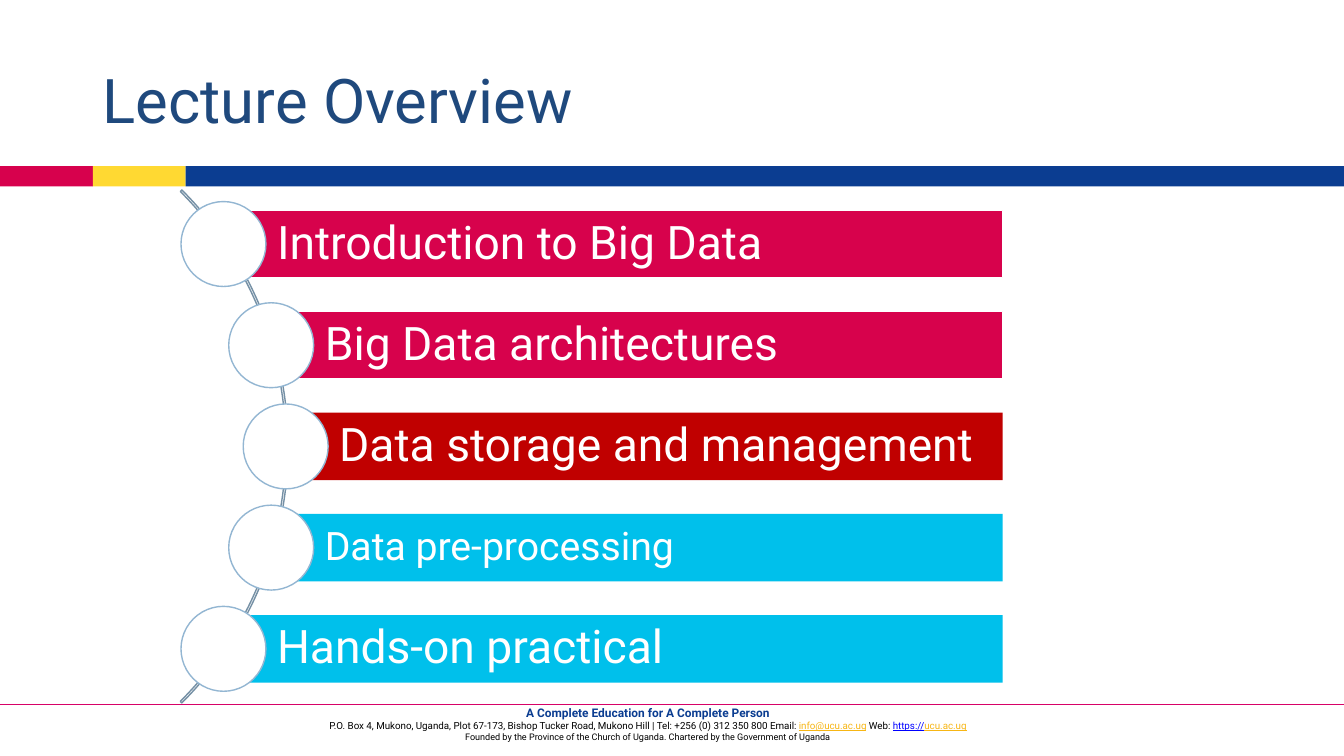
import math

from pptx import Presentation
from pptx import util as u
from pptx.dml.color import RGBColor
from pptx.enum import shapes, text
from pptx.oxml import parse_xml
from pptx.oxml.ns import nsdecls

NAVY = RGBColor(0x0B, 0x3D, 0x91)
CRIMSON = RGBColor(0xD7, 0x01, 0x4D)
YELLOW = RGBColor(0xFF, 0xD9, 0x32)
RULE_PINK = RGBColor(0xD7, 0x01, 0x67)
TITLE_BLUE = RGBColor(0x1F, 0x49, 0x7D)
TOPIC_CRIMSON = RGBColor(0xD7, 0x02, 0x4C)
TOPIC_RED = RGBColor(0xC0, 0x00, 0x00)
TOPIC_CYAN = RGBColor(0x00, 0xC0, 0xEB)
ARC_GREY = RGBColor(0x75, 0x90, 0xA5)
CIRCLE_BLUE = RGBColor(0x93, 0xB6, 0xD2)
LINK_GOLD = RGBColor(0xF7, 0xB6, 0x15)
LINK_BLUE = RGBColor(0x00, 0x00, 0xFF)
BLACK = RGBColor(0, 0, 0)
WHITE = RGBColor(0xFF, 0xFF, 0xFF)

SLIDE_WIDTH, SLIDE_HEIGHT = 33.87, 19.05
STRIPE_TOP, STRIPE_HEIGHT, STRIPE_UNIT = 4.19, 0.51, 2.34

ARC_X, ARC_Y, ARC_RADIUS = -1.88, 11.25, 9.14
CENTRE_RADIUS = 9.08
ROW_PITCH = 2.55
CIRCLE_SIZE = 2.14
BAR_RIGHT, BAR_HEIGHT = 25.27, 1.7

TOPICS = [
    ("Introduction to Big Data", TOPIC_CRIMSON, 33),
    ("Big Data architectures", TOPIC_CRIMSON, 33),
    ("Data storage and management", TOPIC_RED, 33),
    ("Data pre-processing", TOPIC_CYAN, 28),
    ("Hands-on practical", TOPIC_CYAN, 33),
]

# Each footer line is a list of (text, size, colour, bold, underline)
FOOTER = [
    [("A Complete Education for A Complete Person", 8.5, NAVY, True, False)],
    [("P.O. Box 4, Mukono, Uganda, Plot 67-173, Bishop Tucker Road, Mukono Hill | "
      "Tel: +256 (0) 312 350 800 Email: ", 7, BLACK, False, False),
     ("info@ucu.ac.ug", 7, LINK_GOLD, False, True),
     (" Web: ", 7, BLACK, False, False),
     ("https://", 7, LINK_BLUE, False, True),
     ("ucu.ac.ug", 7, LINK_GOLD, False, True)],
    [("Founded by the Province of the Church of Uganda. "
      "Chartered by the Government of Uganda", 6.5, BLACK, False, False)],
]


class SlideBuilder:
    font = "Roboto"

    def __init__(self, slide):
        self.slide = slide

    def shape(self, kind, left, top, width, height, fill=None, outline=None):
        shape = self.slide.shapes.add_shape(
            kind, u.Cm(left), u.Cm(top), u.Cm(width), u.Cm(height))
        shape.shadow.inherit = False
        if fill is None:
            shape.fill.background()
        else:
            shape.fill.solid()
            shape.fill.fore_color.rgb = fill
        if outline is None:
            shape.line.fill.background()
        else:
            shape.line.color.rgb = outline
            shape.line.width = u.Pt(1)
        return shape

    def rule(self, top, colour):
        """Draw a horizontal line across the whole slide."""
        line = self.slide.shapes.add_connector(
            shapes.MSO_CONNECTOR.STRAIGHT,
            u.Cm(0), u.Cm(top), u.Cm(SLIDE_WIDTH), u.Cm(top))
        line.line.color.rgb = colour
        line.line.width = u.Pt(1)
        line._element.spPr.append(parse_xml(f"<a:effectLst {nsdecls('a')}/>"))

    def text_box(self, left, top, width, height):
        box = self.slide.shapes.add_textbox(
            u.Cm(left), u.Cm(top), u.Cm(width), u.Cm(height))
        box.text_frame.word_wrap = True
        return box

    def style(self, span, size, colour, bold=False, underline=False):
        span.font.name = self.font
        span.font.size = u.Pt(size)
        span.font.color.rgb = colour
        span.font.bold = bold
        span.font.underline = underline

    def label(self, box, words, size, colour):
        """Set one left-aligned, vertically centred line of text."""
        frame = box.text_frame
        frame.word_wrap = True
        frame.vertical_anchor = text.MSO_ANCHOR.MIDDLE
        frame.text = words
        para = frame.paragraphs[0]
        para.alignment = text.PP_ALIGN.LEFT
        para.line_spacing = 0.9
        self.style(para.runs[0], size, colour)

    def topic(self, row, words, colour, size):
        """Draw a bar and its circle, centred on the arc."""
        rise = (row - (len(TOPICS) - 1) / 2) * ROW_PITCH
        x = ARC_X + math.sqrt(CENTRE_RADIUS ** 2 - rise ** 2)
        y = ARC_Y + rise
        outline = WHITE if colour == TOPIC_CRIMSON else None
        bar = self.shape(shapes.MSO_SHAPE.RECTANGLE, x, y - BAR_HEIGHT / 2,
                         BAR_RIGHT - x, BAR_HEIGHT, colour, outline)
        frame = bar.text_frame
        frame.margin_left = u.Cm(1.35)
        frame.margin_right = frame.margin_top = frame.margin_bottom = u.Cm(0.23)
        self.label(bar, words, size, WHITE)
        self.shape(shapes.MSO_SHAPE.OVAL, x - CIRCLE_SIZE / 2, y - CIRCLE_SIZE / 2,
                   CIRCLE_SIZE, CIRCLE_SIZE, WHITE, CIRCLE_BLUE)

    def arc(self):
        arc = self.shape(shapes.MSO_SHAPE.BLOCK_ARC, ARC_X - ARC_RADIUS,
                         ARC_Y - ARC_RADIUS, 2 * ARC_RADIUS, 2 * ARC_RADIUS,
                         outline=ARC_GREY)
        # From 315 to 45 degrees, in units of 100,000 sixty-thousandths
        for index, value in enumerate((189, 27, 0.003)):
            arc.adjustments[index] = value

    def footer(self, lines):
        frame = self.text_box(5.89, 17.65, 20.88, 1.19).text_frame
        for index, line in enumerate(lines):
            para = frame.paragraphs[0] if index == 0 else frame.add_paragraph()
            para.alignment = text.PP_ALIGN.CENTER
            for words, *look in line:
                span = para.add_run()
                span.text = words
                self.style(span, *look)


def main():
    deck = Presentation()
    deck.slide_width, deck.slide_height = u.Cm(SLIDE_WIDTH), u.Cm(SLIDE_HEIGHT)
    page = SlideBuilder(deck.slides.add_slide(deck.slide_layouts[6]))

    stripes = [(0, STRIPE_UNIT, CRIMSON), (STRIPE_UNIT, STRIPE_UNIT, YELLOW),
               (2 * STRIPE_UNIT, SLIDE_WIDTH - 2 * STRIPE_UNIT, NAVY)]
    for left, width, colour in stripes:
        page.shape(shapes.MSO_SHAPE.RECTANGLE, left, STRIPE_TOP,
                   width, STRIPE_HEIGHT, colour)
    page.footer(FOOTER)
    page.rule(17.75, RULE_PINK)

    title = page.text_box(2.34, 1.02, 29.21, 3.17)
    page.label(title, "Lecture Overview", 44, TITLE_BLUE)

    page.arc()
    for row, topic in enumerate(TOPICS):
        page.topic(row, *topic)
    deck.save("out.pptx")


if __name__ == "__main__":
    main()
